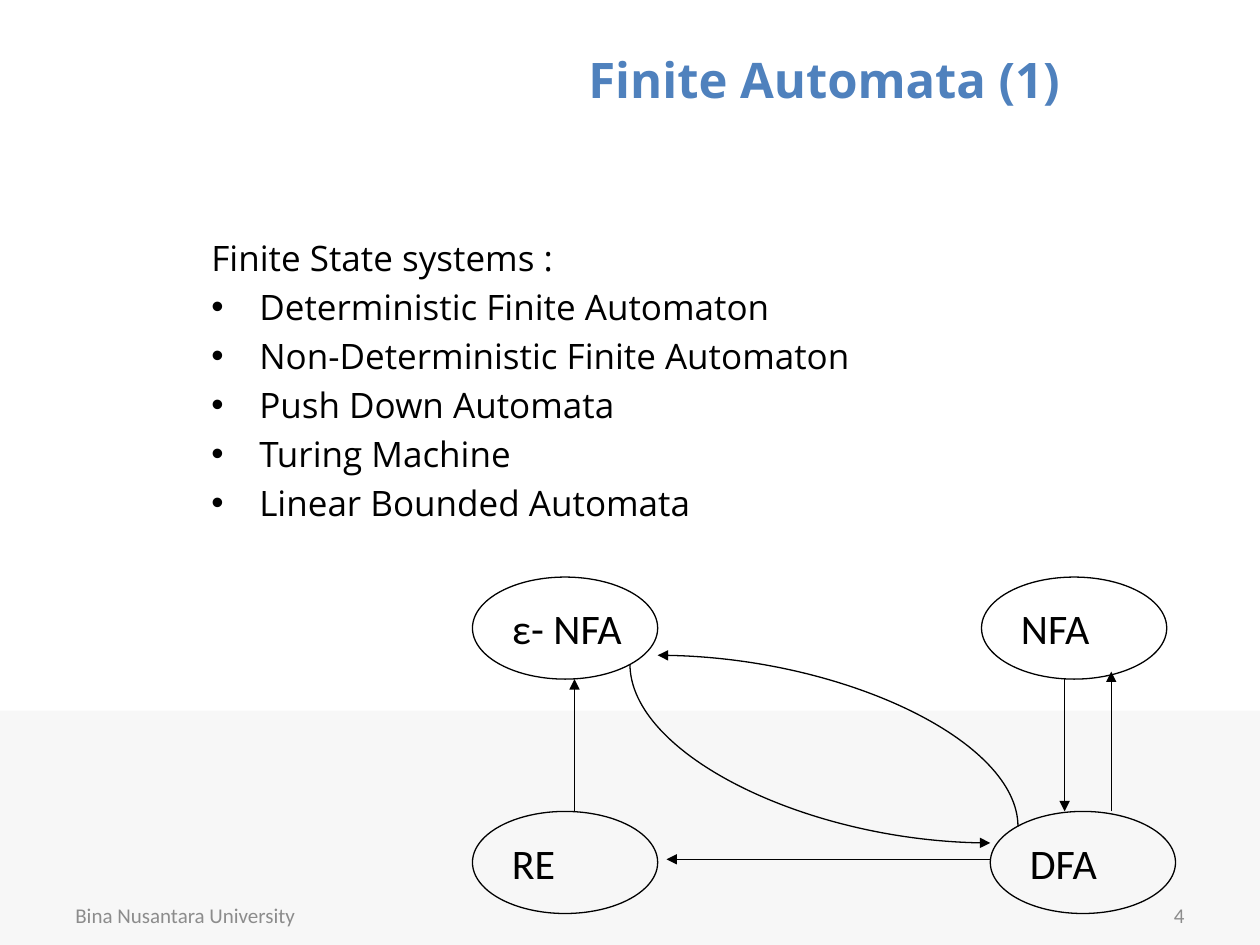
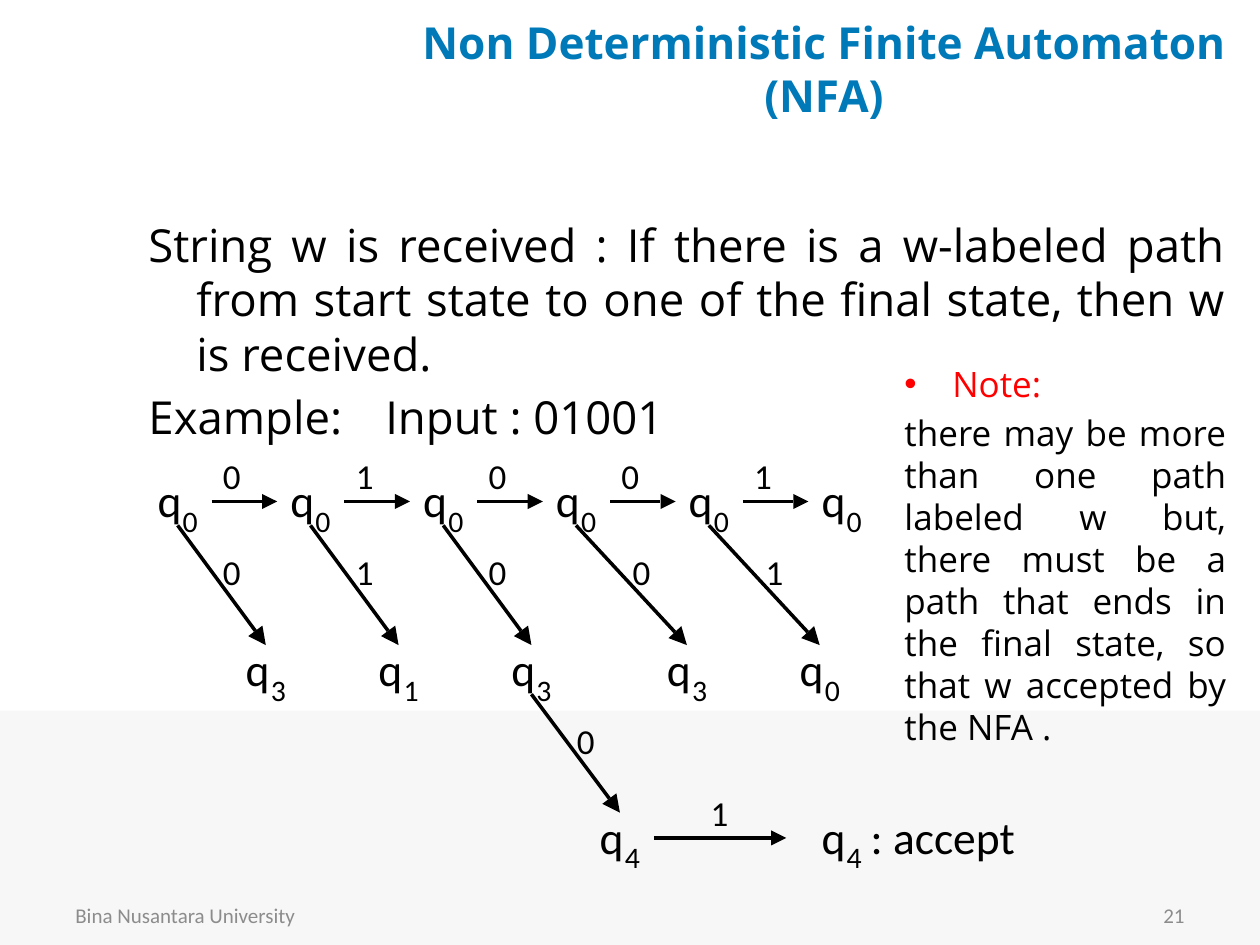
from math import hypot

from lxml.etree import SubElement
from pptx import Presentation
from pptx.dml.color import RGBColor
from pptx.enum.shapes import MSO_CONNECTOR, MSO_SHAPE
from pptx.enum.text import MSO_ANCHOR, PP_ALIGN
from pptx.oxml.ns import qn
from pptx.util import Inches, Pt

# Shared look
BLACK = RGBColor(0x00, 0x00, 0x00)
RED = RGBColor(0xFF, 0x00, 0x00)
GREY = RGBColor(0x8C, 0x8C, 0x8C)
BAND = RGBColor(0xF7, 0xF7, 0xF7)
TITLE_BLUE = RGBColor(0x4F, 0x81, 0xBD)
NFA_BLUE = RGBColor(0x00, 0x79, 0xB8)
HEADING_FONT, DIAGRAM_FONT = "Open Sans", "Calibri"
FOOTER = "Bina Nusantara University"
HANGING = 0.38

# Slide 1 content: text, bulleted
SYSTEMS = [
    ("Finite State systems :", False),
    ("Deterministic Finite Automaton", True),
    ("Non-Deterministic Finite Automaton", True),
    ("Push Down Automata", True),
    ("Turing Machine", True),
    ("Linear Bounded Automata", True),
]
MODELS = [("ε- NFA", 3.75, 4.58), ("RE", 3.75, 6.44),
          ("DFA", 7.86, 6.44), ("NFA", 7.79, 4.58)]
STRAIGHT_CONVERSIONS = [
    ((4.56, 6.44), (4.56, 5.39)),
    ((7.86, 6.82), (5.29, 6.82)),
    ((8.45, 5.39), (8.45, 6.44)),
    ((8.82, 6.44), (8.82, 5.33)),
]
CURVED_CONVERSIONS = [((5, 5.27), (7.86, 6.69), 270),
                      ((8.08, 6.56), (5.22, 5.2), 90)]

# Slide 2 content
DEFINITION = ("String w is received : If there is a w-labeled path from start state "
              "to one of the final state, then w is received.")
EXAMPLE = "Example:\tInput : 01001"
NOTE = ("there may be more than one path labeled w but, there must be a path that "
        "ends in the final state, so that w accepted by the NFA .")
INPUT = "01001"
BRANCH_STATES = "31330"
BRANCH_SHIFTS = [0.7, 0.7, 0.7, 0.88, 0.88]
BRANCH_LABEL_SHIFTS = [0.52, 0.52, 0.52, 0.61, 0.61]
ROWS = [3.75, 5.09, 6.42]
FIRST_COLUMN, LAST_COLUMN = 1.25, 6.52
COLUMN_STEP = (LAST_COLUMN - FIRST_COLUMN) / len(INPUT)
ACCEPT_COLUMN = 4.76


def add_text(slide, box, text, size, color=BLACK, font=DIAGRAM_FONT, bold=False,
             align=PP_ALIGN.LEFT, anchor=MSO_ANCHOR.MIDDLE):
    textbox = slide.shapes.add_textbox(*map(Inches, box))
    frame = textbox.text_frame
    frame.word_wrap = True
    frame.vertical_anchor = anchor
    frame.text = text
    style_paragraph(frame.paragraphs[0], size, color, font, bold, align)
    return frame


def style_paragraph(paragraph, size, color, font, bold=False, align=PP_ALIGN.LEFT):
    paragraph.alignment = align
    for run in paragraph.runs:
        run.font.size = Pt(size)
        run.font.name = font
        run.font.bold = bold
        run.font.color.rgb = color


def add_body(slide, box, size, items):
    """Items are (text, bulleted, hanging, align, color)."""
    frame = slide.shapes.add_textbox(*map(Inches, box)).text_frame
    frame.word_wrap = True
    for index, (text, bulleted, hanging, align, color) in enumerate(items):
        paragraph = frame.add_paragraph() if index else frame.paragraphs[0]
        paragraph.text = text
        properties = paragraph._p.get_or_add_pPr()
        if hanging:
            properties.set("marL", str(Inches(HANGING)))
            properties.set("indent", str(-Inches(HANGING)))
        if bulleted:
            SubElement(properties, qn("a:buFont")).set("typeface", "Arial")
            SubElement(properties, qn("a:buChar")).set("char", "•")
        if index:
            paragraph.space_before = Pt(size * 0.2)
        style_paragraph(paragraph, size, color, HEADING_FONT, align=align)


def add_base(presentation, title, title_box, title_size, title_color, number):
    slide = presentation.slides.add_slide(presentation.slide_layouts[6])
    band = slide.shapes.add_shape(MSO_SHAPE.RECTANGLE, 0, Inches(5.64),
                                  Inches(10), Inches(1.86))
    band.shadow.inherit = False
    band.fill.solid()
    band.fill.fore_color.rgb = BAND
    band.line.fill.background()
    add_text(slide, title_box, title, title_size, title_color, HEADING_FONT,
             True, PP_ALIGN.CENTER)
    add_text(slide, (0.5, 7.06, 2.33, 0.4), FOOTER, 12, GREY)
    add_text(slide, (7.17, 7.06, 2.33, 0.4), number, 12, GREY, align=PP_ALIGN.RIGHT)
    return slide


def add_line(slide, start, end, width, kind=MSO_CONNECTOR.STRAIGHT, arrow=False):
    connector = slide.shapes.add_connector(kind, *map(Inches, (*start, *end)))
    connector.line.color.rgb = BLACK
    connector.line.width = Pt(width)
    if arrow:
        SubElement(connector.line._get_or_add_ln(), qn("a:tailEnd")).set("type", "triangle")
    SubElement(connector._element.spPr, qn("a:effectLst"))
    return connector


def add_curve(slide, start, end, rotation):
    """Quarter curve that leaves vertically and arrives horizontally."""
    center_x, center_y = (start[0] + end[0]) / 2, (start[1] + end[1]) / 2
    half_width, half_height = abs(end[1] - start[1]) / 2, abs(end[0] - start[0]) / 2
    connector = add_line(slide, (center_x - half_width, center_y - half_height),
                         (center_x + half_width, center_y + half_height),
                         0.75, MSO_CONNECTOR.CURVE, True)
    properties = connector._element.spPr
    properties.find(qn("a:prstGeom")).set("prst", "curvedConnector2")
    transform = properties.find(qn("a:xfrm"))
    transform.set("rot", str(rotation * 60000))
    transform.set("flipH", "1")


def add_transition(slide, start, tip, length=0.12, half_width=0.06):
    """Hairline with a solid triangular head."""
    distance = hypot(tip[0] - start[0], tip[1] - start[1])
    along_x, along_y = (tip[0] - start[0]) / distance, (tip[1] - start[1]) / distance
    base_x, base_y = tip[0] - length * along_x, tip[1] - length * along_y
    add_line(slide, start, (base_x, base_y), 0)
    corners = [(base_x + side * half_width * along_y, base_y - side * half_width * along_x)
               for side in (1, -1)]
    builder = slide.shapes.build_freeform(*map(Inches, tip), scale=1.0)
    builder.add_line_segments([tuple(map(Inches, corner)) for corner in corners], close=True)
    head = builder.convert_to_shape()
    head.shadow.inherit = False
    head.fill.solid()
    head.fill.fore_color.rgb = BLACK
    head.line.fill.background()


def add_label(slide, left, top, text, size, width=0.14):
    frame = add_text(slide, (left, top, width, size / 40), text, size,
                     anchor=MSO_ANCHOR.TOP)
    frame.word_wrap = False
    frame.margin_left = frame.margin_right = frame.margin_top = frame.margin_bottom = 0


def add_state(slide, left, top, subscript):
    add_label(slide, left, top, "q", 26, 0.18)
    add_label(slide, left + 0.2, top + 0.24, subscript, 17, 0.12)


def add_step(slide, left, top, tip, label_left, symbol):
    add_transition(slide, (left + 0.43, top + 0.23), (tip, top + 0.23))
    add_label(slide, label_left, top - 0.14, symbol, 20)


def add_branch(slide, left, row, child_left, label_shift, symbol, subscript):
    top, child_top = ROWS[row], ROWS[row + 1]
    add_state(slide, child_left, child_top, subscript)
    add_transition(slide, (left + 0.16, top + 0.42), (child_left + 0.16, child_top + 0.03),
                   0.14, 0.07)
    add_label(slide, left + label_shift, top + 0.62, symbol, 20)


def build_automata(presentation):
    slide = add_base(presentation, "Finite Automata (1)", (3.58, 0, 5.92, 1.25),
                     28, TITLE_BLUE, "4")
    add_body(slide, (1.58, 1.83, 7.67, 3.68), 20,
             [(text, bulleted, True, PP_ALIGN.LEFT, BLACK) for text, bulleted in SYSTEMS])

    # Models and the conversions between them
    for name, left, top in MODELS:
        ellipse = slide.shapes.add_shape(MSO_SHAPE.OVAL,
                                         *map(Inches, (left, top, 1.47, 0.81)))
        ellipse.shadow.inherit = False
        ellipse.fill.background()
        ellipse.line.color.rgb = BLACK
        ellipse.line.width = Pt(0.75)
        frame = ellipse.text_frame
        frame.word_wrap = False
        frame.vertical_anchor = MSO_ANCHOR.MIDDLE
        frame.text = name
        style_paragraph(frame.paragraphs[0], 24, BLACK, DIAGRAM_FONT)
    for start, end in STRAIGHT_CONVERSIONS:
        add_line(slide, start, end, 0.75, arrow=True)
    for start, end, rotation in CURVED_CONVERSIONS:
        add_curve(slide, start, end, rotation)


def build_nfa(presentation):
    slide = add_base(presentation, "Non Deterministic Finite Automaton (NFA)",
                     (3.25, 0.17, 6.58, 0.75), 25.2, NFA_BLUE, "21")
    add_body(slide, (1.08, 1.67, 8.75, 5.42), 26,
             [(DEFINITION, False, True, PP_ALIGN.JUSTIFY, BLACK),
              (EXAMPLE, False, True, PP_ALIGN.LEFT, BLACK)])

    # Top row of states, each with a step right and a branch down
    columns = [FIRST_COLUMN + index * COLUMN_STEP for index in range(len(INPUT) + 1)]
    for left in columns:
        add_state(slide, left, ROWS[0], "0")
    for left, symbol, subscript, shift, label_shift in zip(
            columns, INPUT, BRANCH_STATES, BRANCH_SHIFTS, BRANCH_LABEL_SHIFTS):
        add_step(slide, left, ROWS[0], left + 0.95, left + 0.52, symbol)
        add_branch(slide, left, 0, left + shift, label_shift, symbol, subscript)

    # Accepting path
    add_branch(slide, columns[2] + BRANCH_SHIFTS[2], 1, ACCEPT_COLUMN, 0.52, "0", "4")
    add_step(slide, ACCEPT_COLUMN, ROWS[2], 6.24, 5.64, "1")
    add_state(slide, LAST_COLUMN, ROWS[2], "4")
    add_label(slide, 6.91, ROWS[2], ": accept", 26, 1.16)

    # Side note
    add_body(slide, (7.08, 2.83, 2.75, 3.63), 20,
             [("Note:", True, True, PP_ALIGN.JUSTIFY, RED),
              (NOTE, False, False, PP_ALIGN.JUSTIFY, BLACK)])


def main():
    presentation = Presentation()
    presentation.slide_width = Inches(10)
    presentation.slide_height = Inches(7.5)
    build_automata(presentation)
    build_nfa(presentation)
    presentation.save("out.pptx")


if __name__ == "__main__":
    main()
